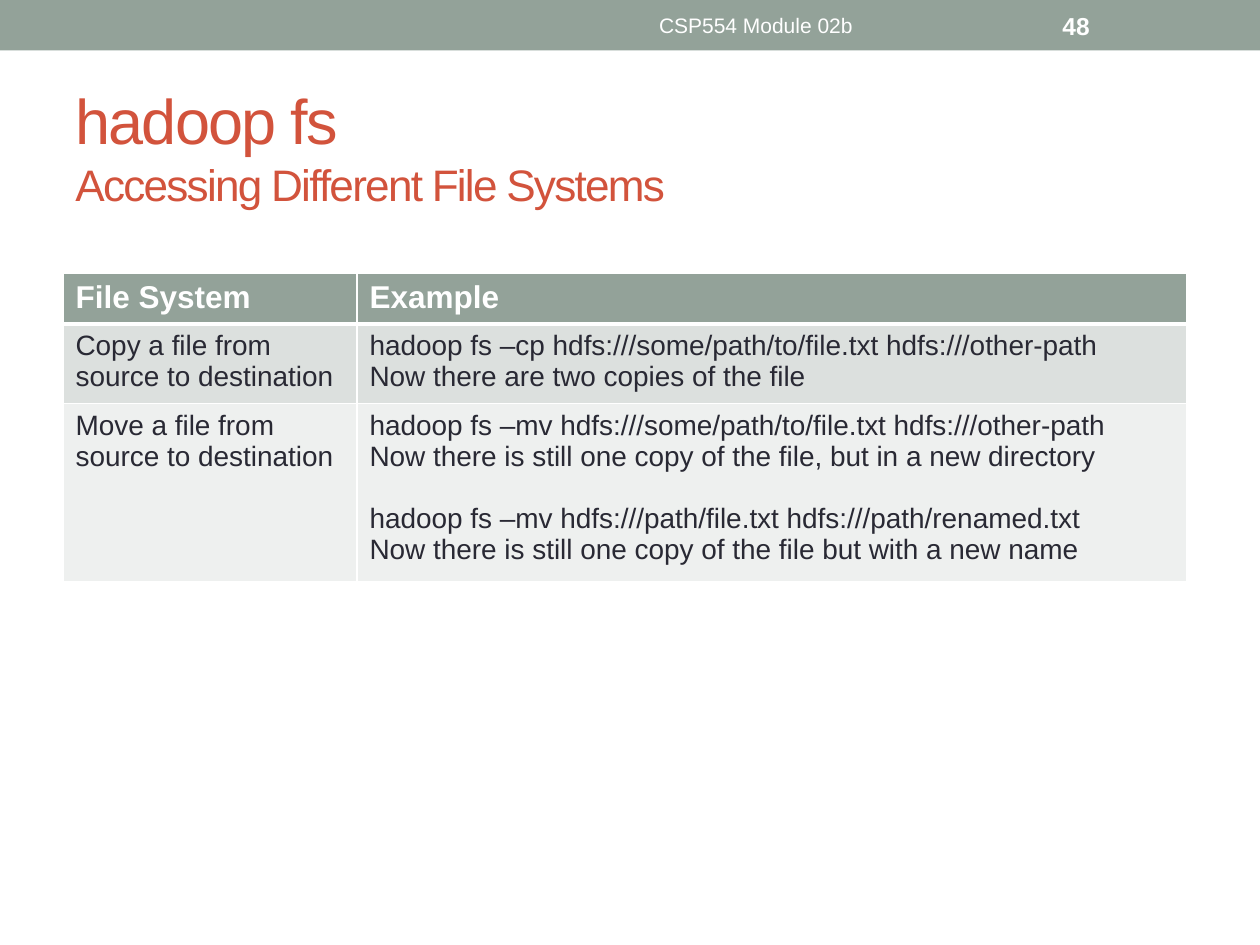
"""Build the slide on moving and copying files with hadoop fs."""
from lxml.etree import SubElement
from pptx import Presentation
from pptx.dml.color import RGBColor
from pptx.enum.shapes import MSO_SHAPE
from pptx.enum.text import MSO_ANCHOR, PP_ALIGN
from pptx.oxml.ns import qn
from pptx.util import Pt

SAGE, WHITE, RUST, INK = "93A299", "FFFFFF", "D2533C", "292934"


def paint(color_format, hex_color):
    color_format.rgb = RGBColor.from_string(hex_color)


def style(font, hex_color, **values):
    for attribute, value in {"name": "Arial", "bold": False, **values}.items():
        setattr(font, attribute, value)
    paint(font.color, hex_color)


deck = Presentation()
deck.slide_width, deck.slide_height = Pt(720), Pt(540)
slide = deck.slides.add_slide(deck.slide_layouts[6])

banner = slide.shapes.add_shape(MSO_SHAPE.RECTANGLE, 0, 0, Pt(720), Pt(28.8))
banner.shadow.inherit = False
banner.fill.solid()
paint(banner.fill.fore_color, SAGE)
banner.line.fill.background()

heading = slide.shapes.add_textbox(Pt(36), Pt(42), Pt(648), Pt(78)).text_frame
for attribute, value in {"word_wrap": True, "vertical_anchor": MSO_ANCHOR.MIDDLE,
                         "margin_top": Pt(8)}.items():
    setattr(heading, attribute, value)
title = heading.paragraphs[0]
for wording, size in [("hadoop fs", 36), ("Accessing Different File Systems", 25.2)]:
    if title.runs:
        title.add_line_break()
    part = title.add_run()
    part.text = wording
    style(part.font, RUST, size=Pt(size))
    part.font._element.set("spc", "-100")

for wording, left, width, alignment, look in [
    ("CSP554 Module 02b", 270, 324, PP_ALIGN.CENTER, {"size": Pt(12)}),
    ("48", 600, 84, PP_ALIGN.LEFT, {"size": Pt(14), "bold": True}),
]:
    label = slide.shapes.add_textbox(Pt(left), Pt(1.5), Pt(width), Pt(26)).text_frame
    label.word_wrap = True
    label.vertical_anchor = MSO_ANCHOR.MIDDLE
    label.text = wording
    label.paragraphs[0].alignment = alignment
    style(label.paragraphs[0].font, WHITE, **look)

header_look = {"size": Pt(18), "bold": True}
body_look = {"size": Pt(16)}
commands = [
    (27.3, SAGE, WHITE, header_look, [[["File System"]], [["Example"]]]),
    (42.9, "DCE0DE", INK, body_look, [
        [["Copy a file from source to destination"]],
        [["hadoop fs –cp hdfs:///some/path/to/file.txt hdfs:///other-path",
          "Now there are two copies of the file"]],
    ]),
    (96.5, "EEF0EF", INK, body_look, [
        [["Move a file from source to destination"]],
        [["hadoop fs –mv hdfs:///some/path/to/file.txt hdfs:///other-path",
          "Now there is still one copy of the file, but in a new directory"],
         ["hadoop fs –mv hdfs:///path/file.txt hdfs:///path/renamed.txt",
          "Now there is still one copy of the file but with a new name"]],
    ]),
]
total_height = sum(height for height, *rest in commands)
examples = slide.shapes.add_table(
    len(commands), 2, Pt(36), Pt(156.24), Pt(642), Pt(total_height)).table
for column, width in zip(examples.columns, (168, 474)):
    column.width = Pt(width)

for row_index, (height, background, ink, look, row_content) in enumerate(commands):
    examples.rows[row_index].height = Pt(height)
    for column_index, blocks in enumerate(row_content):
        cell = examples.cell(row_index, column_index)
        cell.text = "\n".join(line for block in blocks for line in block)
        paragraphs = iter(cell.text_frame.paragraphs)
        for block_index, block in enumerate(blocks):
            for line_index, line in enumerate(block):
                paragraph = next(paragraphs)
                style(paragraph.font, ink, **look)
                if block_index and not line_index:
                    paragraph.space_before = Pt(17.9)
        properties = cell._tc.get_or_add_tcPr()
        rule_widths = {"lnL": 1, "lnR": 1, "lnT": 3 if row_index == 1 else 1,
                       "lnB": 3 if row_index == 0 else 1}
        for side, rule_width in rule_widths.items():
            rule = SubElement(properties, qn(f"a:{side}"), w=str(int(Pt(rule_width))))
            rule_fill = SubElement(rule, qn("a:solidFill"))
            SubElement(rule_fill, qn("a:srgbClr"), val=WHITE)
        cell.fill.solid()
        paint(cell.fill.fore_color, background)

deck.save("out.pptx")
